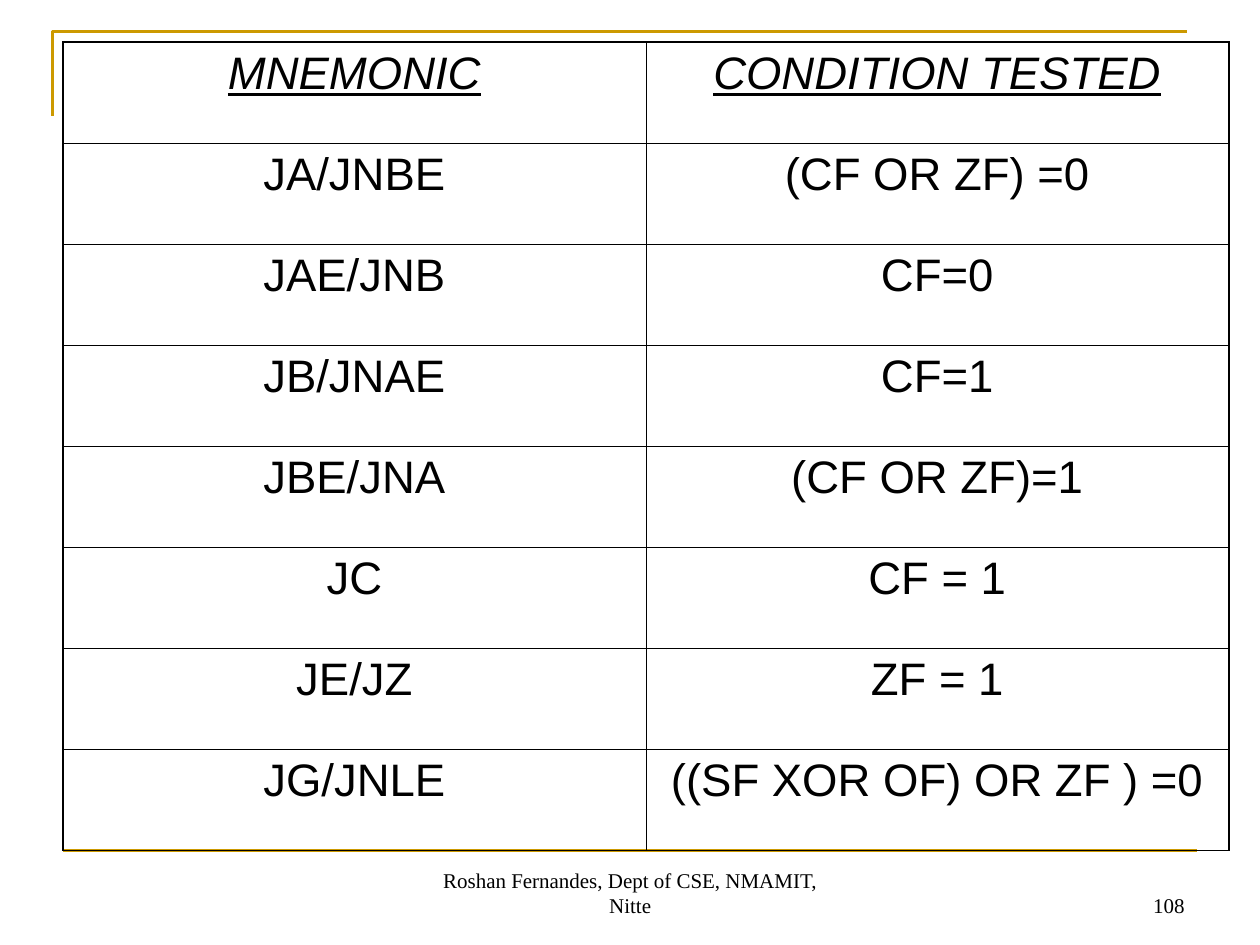
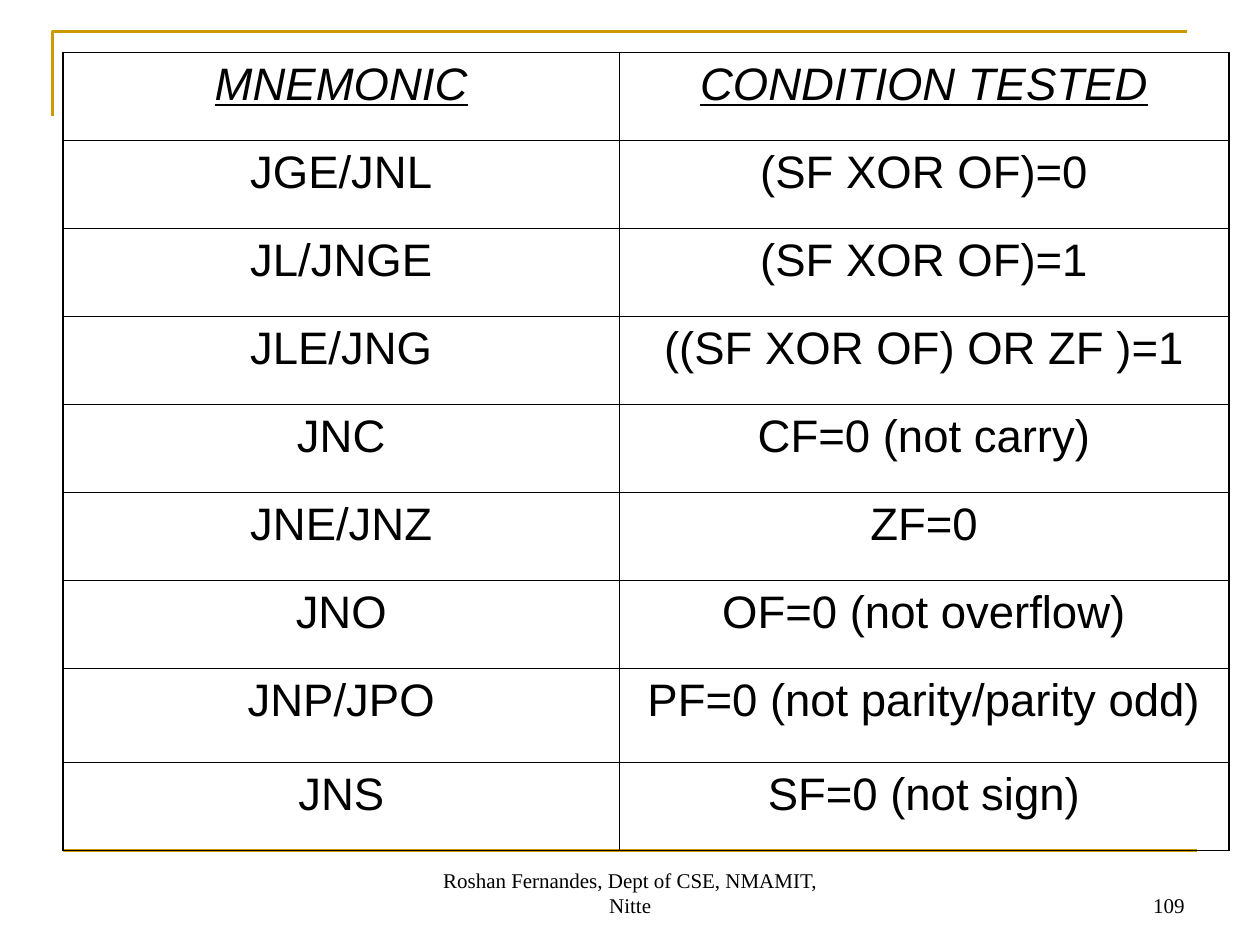
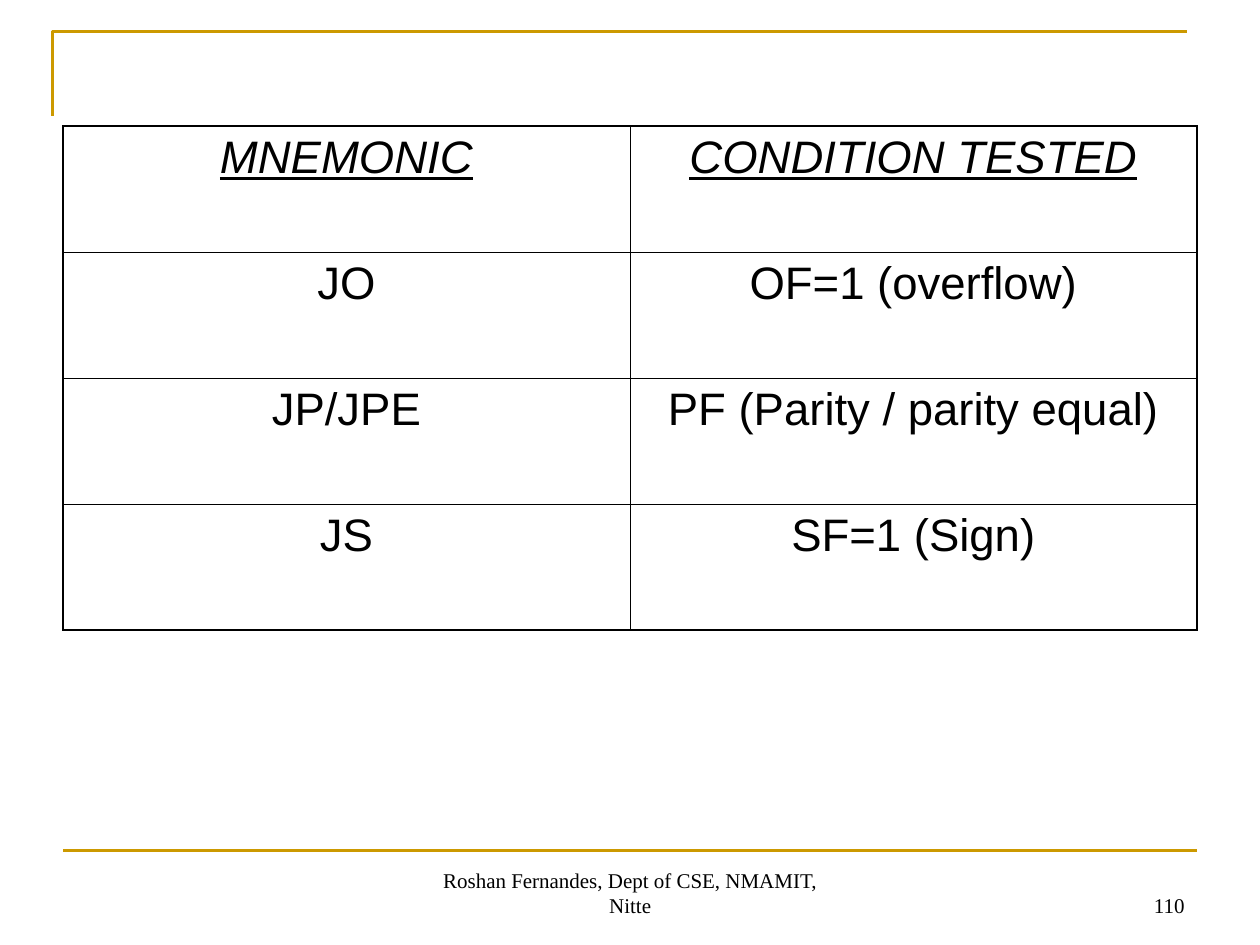
from dataclasses import dataclass

from lxml.etree import SubElement
from pptx import Presentation
from pptx.dml.color import RGBColor
from pptx.enum.shapes import MSO_CONNECTOR
from pptx.enum.text import MSO_ANCHOR, PP_ALIGN
from pptx.oxml.ns import qn
from pptx.util import Cm, Pt


@dataclass(frozen=True)
class Theme:
    gold: RGBColor = RGBColor(0xCC, 0x99, 0x00)
    ink: RGBColor = RGBColor(0, 0, 0)
    body: str = "Arial"
    foot: str = "Times New Roman"
    body_size: Pt = Pt(26)
    foot_size: Pt = Pt(12)
    band: Pt = Pt(1.5)
    outer: Pt = Pt(1.08)
    inner: Pt = Pt(0.45)


theme = Theme()
LEFT = 1.27
HEAD = ("MNEMONIC", "CONDITION TESTED")
FOOTER = "Roshan Fernandes, Dept of CSE, NMAMIT, Nitte"

# Each table: top, height, column widths, row with extra height, rows
TABLES = [
    (0.85, 16.3, (11.75, 11.75), None, [
        ("JA/JNBE", "(CF OR ZF) =0"),
        ("JAE/JNB", "CF=0"),
        ("JB/JNAE", "CF=1"),
        ("JBE/JNA", "(CF OR ZF)=1"),
        ("JC", "CF = 1"),
        ("JE/JZ", "ZF = 1"),
        ("JG/JNLE", "((SF XOR OF) OR ZF ) =0"),
    ]),
    (1.06, 16.09, (11.22, 12.28), 7, [
        ("JGE/JNL", "(SF XOR OF)=0"),
        ("JL/JNGE", "(SF XOR OF)=1"),
        ("JLE/JNG", "((SF XOR OF) OR ZF )=1"),
        ("JNC", "CF=0 (not carry)"),
        ("JNE/JNZ", "ZF=0"),
        ("JNO", "OF=0 (not overflow)"),
        ("JNP/JPO", "PF=0 (not parity/parity odd)"),
        ("JNS", "SF=0 (not sign)"),
    ]),
    (2.54, 10.16, (11.43, 11.43), None, [
        ("JO", "OF=1 (overflow)"),
        ("JP/JPE", "PF (Parity / parity equal)"),
        ("JS", "SF=1 (Sign)"),
    ]),
]
EXTRA = 0.12


def write(frame, text, face, size, align):
    para = frame.paragraphs[0]
    para.alignment = align
    run = para.add_run()
    run.text = text
    run.font.name = face
    run.font.size = size
    run.font.color.rgb = theme.ink
    return run


def edge(cell, side, width):
    """Draw one border of a cell; side is L, R, T or B."""
    line = SubElement(cell._tc.get_or_add_tcPr(), qn(f"a:ln{side}"), w=str(width))
    fill = SubElement(line, qn("a:solidFill"))
    SubElement(fill, qn("a:srgbClr"), val=str(theme.ink))


deck = Presentation()
deck.slide_width, deck.slide_height = Cm(25.4), Cm(19.05)

for number, (top, height, widths, tall, rows) in enumerate(TABLES, start=108):
    slide = deck.slides.add_slide(deck.slide_layouts[6])
    shapes = slide.shapes

    # Gold corner and base line
    pen = shapes.build_freeform(Cm(1.06), Cm(2.33))
    pen.add_line_segments([(Cm(1.06), Cm(0.64)), (Cm(23.92), Cm(0.64))], close=False)
    corner = pen.convert_to_shape()
    corner.shadow.inherit = False
    corner.fill.background()
    base = shapes.add_connector(
        MSO_CONNECTOR.STRAIGHT, Cm(LEFT), Cm(17.15), Cm(24.13), Cm(17.15))
    SubElement(base._element.spPr, qn("a:effectLst"))
    for band in (corner, base):
        band.line.color.rgb = theme.gold
        band.line.width = theme.band

    # Footer and page number
    for left, width, text, align in (
        (8.68, 8.05, FOOTER, PP_ALIGN.CENTER),
        (18.21, 5.92, str(number), PP_ALIGN.RIGHT),
    ):
        frame = shapes.add_textbox(Cm(left), Cm(17.36), Cm(width), Cm(1.27)).text_frame
        frame.word_wrap = True
        frame.vertical_anchor = MSO_ANCHOR.BOTTOM
        write(frame, text, theme.foot, theme.foot_size, align)

    # Table of jump conditions
    lines = [HEAD, *rows]
    last = len(lines) - 1
    grid = shapes.add_table(
        len(lines), 2, Cm(LEFT), Cm(top), Cm(sum(widths)), Cm(height)).table
    grid.first_row = grid.horz_banding = False
    for col, width in zip(grid.columns, widths):
        col.width = Cm(width)
    step = (height - (EXTRA if tall else 0)) / len(lines)
    for r, texts in enumerate(lines):
        grid.rows[r].height = Cm(step + (EXTRA if r == tall else 0))
        for c, text in enumerate(texts):
            cell = grid.cell(r, c)
            run = write(cell.text_frame, text, theme.body, theme.body_size,
                        PP_ALIGN.CENTER)
            run.font.italic = run.font.underline = r == 0
            for side, rim in (("L", c == 0), ("R", c == 1),
                              ("T", r == 0), ("B", r == last)):
                edge(cell, side, theme.outer if rim else theme.inner)
            cell.fill.background()

deck.save("out.pptx")
